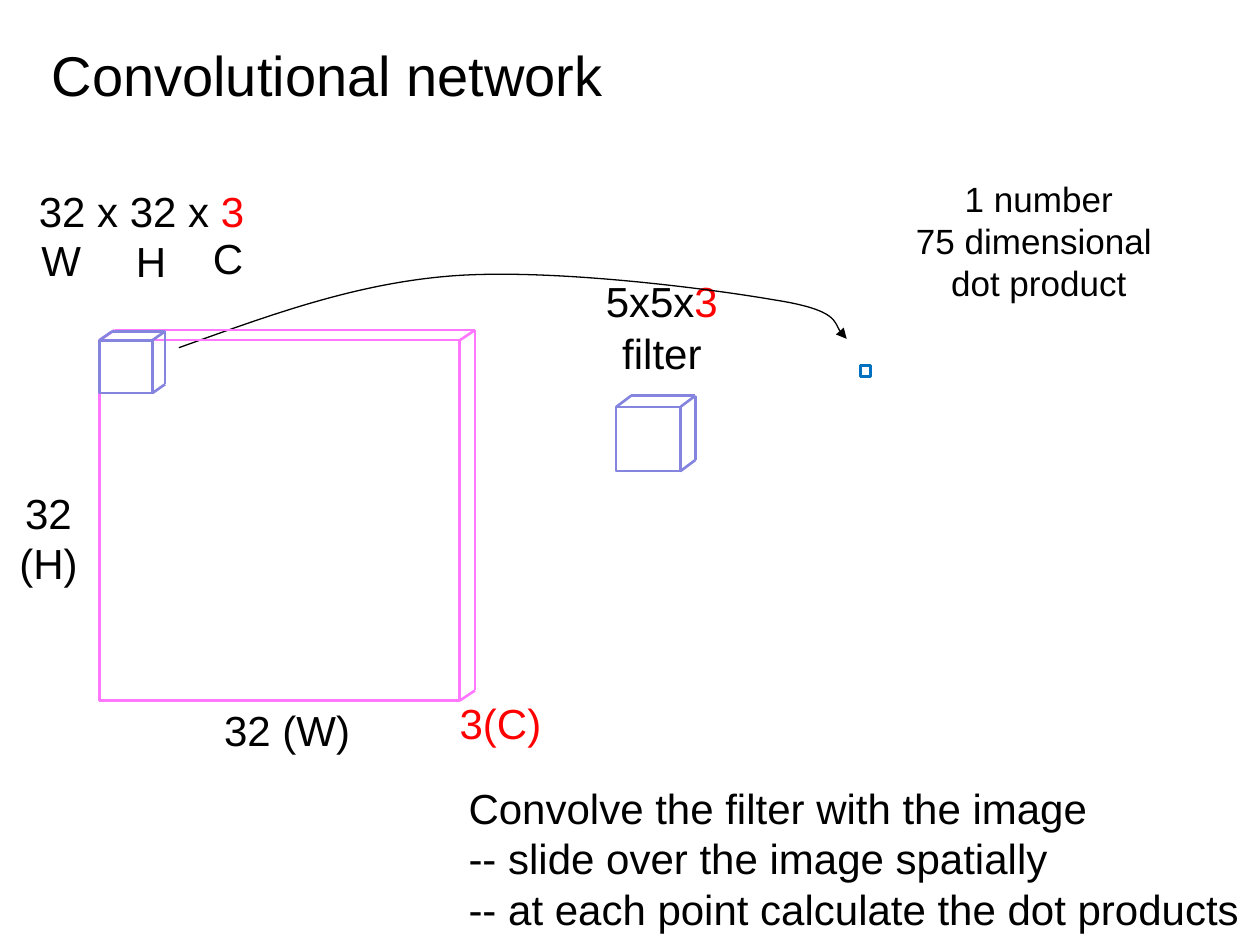
from lxml import etree
from pptx import Presentation
from pptx.dml.color import RGBColor
from pptx.enum import shapes, text
from pptx.oxml.ns import qn
from pptx.util import Inches, Pt

BLACK, RED, PINK, VIOLET, BLUE = "000000", "FF0000", "FF78FF", "8585E0", "0070C0"

prs = Presentation()
prs.slide_width, prs.slide_height = Inches(10), Inches(7.5)
slide = prs.slides.add_slide(prs.slide_layouts[5])


def write(frame, content, size=24, color=BLACK, align=text.PP_ALIGN.LEFT, wrap=False):
    """Fill a frame, one paragraph a line; the part after a | is red."""
    frame.word_wrap = wrap
    for number, line in enumerate(content.split("\n")):
        paragraph = frame.add_paragraph() if number else frame.paragraphs[0]
        paragraph.alignment = align
        for part, part_color in zip(line.split("|"), (color, RED)):
            run = paragraph.add_run()
            run.text = part
            run.font.name, run.font.size = "Arial", Pt(size)
            run.font.color.rgb = RGBColor.from_string(part_color)


def outline(item, color, width=1.5):
    """Give a shape or connector a plain line and no shadow."""
    item.line.color.rgb = RGBColor.from_string(color)
    item.line.width = Pt(width)
    etree.SubElement(item._element.spPr, qn("a:effectLst"))


title = slide.shapes.title
title.left, title.top, title.width, title.height = map(Inches, (0.31, 0.28, 4.9, 0.61))
title.text_frame.vertical_anchor = text.MSO_ANCHOR.MIDDLE
write(title.text_frame, "Convolutional network", size=32, wrap=True)

centered = {"align": text.PP_ALIGN.CENTER}
labels = [
    (0.21, 1.42, 1.85, 0.5, "32 x 32 x |3", {}),
    (0.23, 1.81, 0.52, 0.5, "W", {}),
    (0.98, 1.82, 0.45, 0.5, "H", {}),
    (1.59, 1.8, 0.45, 0.5, "C", {}),
    (1.68, 5.54, 1.21, 0.5, "32 (W)", {}),
    (0.05, 3.82, 0.67, 0.91, "32\n(H)", centered),
    (3.55, 5.49, 0.86, 0.5, "3(C)", {"color": RED}),
    (3.62, 6.16, 6.38, 1.31, "Convolve the filter with the image\n"
     "-- slide over the image spatially\n"
     "-- at each point calculate the dot products", {}),
    (7.16, 1.36, 2.17, 1.11, "1 number\n75 dimensional \ndot product",
     {"size": 20, **centered}),
    (4.71, 2.14, 1.1, 0.5, "5x5x|3", {}),
    (4.84, 2.55, 0.84, 0.5, "filter", {}),
]
for left, top, width, height, content, style in labels:
    label = slide.shapes.add_textbox(*map(Inches, (left, top, width, height)))
    write(label.text_frame, content, **style)

# Bézier arrow from the patch to its dot product: start, then three points a segment
curve = [(1.42, 2.76), (2.12, 2.51), (2.81, 2.25), (3.59, 2.19), (4.38, 2.13),
         (5.62, 2.29), (6.14, 2.38), (6.66, 2.46), (6.64, 2.64), (6.72, 2.69)]
points = [(Inches(x), Inches(y)) for x, y in curve]
builder = slide.shapes.build_freeform(*points[0])
builder.add_line_segments(points[1:], close=False)
arrow = builder.convert_to_shape()
arrow.fill.background()
outline(arrow, BLACK, 0.75)
etree.SubElement(arrow.line._get_or_add_ln(), qn("a:tailEnd"), type="triangle")
bezier = next(arrow._element.iter(qn("a:path")))
corners = bezier.findall(qn("a:lnTo"))
for start in range(0, len(corners), 3):
    segment = etree.SubElement(bezier, qn("a:cubicBezTo"))
    for corner in corners[start:start + 3]:
        segment.append(corner[0])
        bezier.remove(corner)

# Input volume, filter and image patch: front face, then the edges running back
boxes = [
    (0.79, 2.7, 2.86, 0.12, 0.08, PINK),
    (4.89, 3.23, 0.51, 0.12, 0.09, VIOLET),
    (0.79, 2.7, 0.42, 0.1, 0.07, VIOLET),
]
for left, top, side, shift, rise, color in boxes:
    right, bottom = left + side, top + side
    face = slide.shapes.add_shape(shapes.MSO_SHAPE.RECTANGLE,
                                  *map(Inches, (left, top, side, side)))
    face.fill.background()
    outline(face, color)
    edges = [(x, y, x + shift, y - rise)
             for x, y in ((left, top), (right, top), (right, bottom))]
    edges.append((left + shift, top - rise, right + shift, top - rise))
    edges.append((right + shift, top - rise, right + shift, bottom - rise))
    for ends in edges:
        edge = slide.shapes.add_connector(shapes.MSO_CONNECTOR.STRAIGHT, *map(Inches, ends))
        outline(edge, color)

dot_product = slide.shapes.add_shape(shapes.MSO_SHAPE.RECTANGLE,
                                     *map(Inches, (6.83, 2.9, 0.08, 0.09)))
dot_product.fill.background()
outline(dot_product, BLUE)

prs.save("out.pptx")
